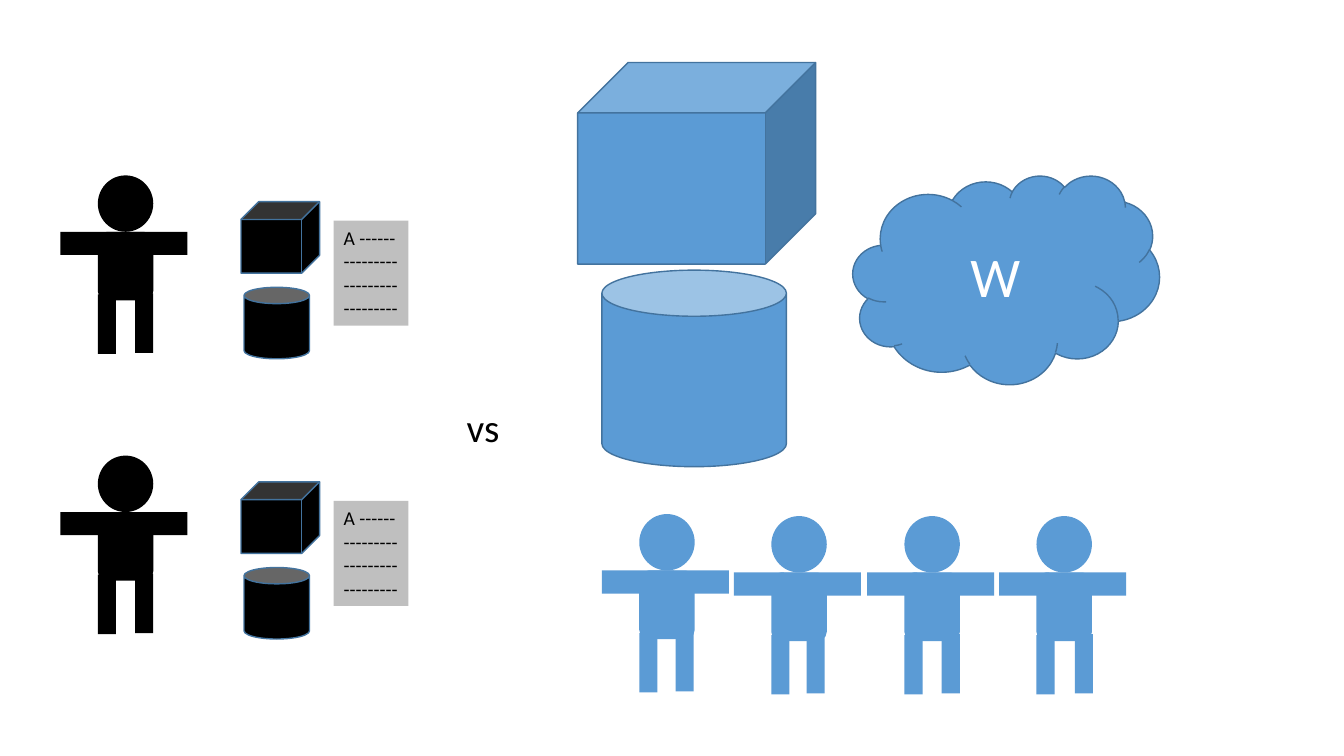
"""Build a slide that sets lone workers with small tools against a team with shared ones."""
from typing import Any, NamedTuple

from pptx import Presentation
from pptx.dml.color import RGBColor
from pptx.enum.shapes import MSO_SHAPE
from pptx.enum.text import MSO_ANCHOR, MSO_AUTO_SIZE, PP_ALIGN
from pptx.util import Inches, Pt

HUES = {"black": "000000", "blue": "5B9BD5", "edge": "43739E",
        "gray": "BFBFBF", "white": "FFFFFF"}


class Part(NamedTuple):
    kind: MSO_SHAPE
    left: float
    top: float
    width: float
    height: float


class Person(NamedTuple):
    left: float
    top: float
    hue: str
    stride: float = 0.37


BODY = [
    Part(MSO_SHAPE.OVAL, 0.37, 0, 0.55, 0.56),
    Part(MSO_SHAPE.ROUNDED_RECTANGLE, 0.37, 0.56, 0.55, 0.68),
    Part(MSO_SHAPE.RECTANGLE, 0, 0.56, 1.26, 0.23),
    Part(MSO_SHAPE.RECTANGLE, 0.37, 1.18, 0.18, 0.59),
]
LEG = BODY[-1]
TEAM = [Person(5.97, 5.1, "blue", 0.36), Person(7.28, 5.12, "blue", 0.35),
        Person(8.6, 5.12, "blue"), Person(9.91, 5.12, "blue", 0.38)]
ROWS = [1.74, 4.52]
TOOLS = [Part(MSO_SHAPE.CAN, 2.42, 1.11, 0.65, 0.71),
         Part(MSO_SHAPE.CUBE, 2.39, 0.26, 0.78, 0.71)]
NOTE = Part(MSO_SHAPE.RECTANGLE, 3.31, 0.45, 0.74, 1.04)
SHARED = [Part(MSO_SHAPE.CAN, 5.97, 2.68, 1.83, 1.95),
          Part(MSO_SHAPE.CUBE, 5.73, 0.62, 2.36, 2)]
CLOUD = Part(MSO_SHAPE.CLOUD, 8.46, 1.74, 3.04, 2.07)
DASHES = "-" * 9


def color(hue: str) -> RGBColor:
    return RGBColor.from_string(HUES[hue])


def draw(shapes: Any, part: Part, hue: str, left: float = 0, top: float = 0,
         edge: bool = False) -> Any:
    shape = shapes.add_shape(part.kind, Inches(left + part.left), Inches(top + part.top),
                             Inches(part.width), Inches(part.height))
    shape.shadow.inherit = False
    shape.fill.solid()
    shape.fill.fore_color.rgb = color(hue)
    if edge:
        shape.line.color.rgb = color("edge")
        shape.line.width = Pt(1)
    else:
        shape.line.fill.background()
    return shape


def write(shape: Any, text: str, *, size: float, hue: str = "black", wrap: bool = False,
          align: PP_ALIGN = PP_ALIGN.LEFT, anchor: MSO_ANCHOR = MSO_ANCHOR.TOP) -> None:
    frame = shape.text_frame
    frame.word_wrap = wrap
    frame.auto_size = MSO_AUTO_SIZE.NONE if wrap else MSO_AUTO_SIZE.SHAPE_TO_FIT_TEXT
    frame.vertical_anchor = anchor
    frame.text = text
    for line in frame.paragraphs:
        line.alignment = align
        for run in line.runs:
            run.font.name = "Calibri"
            run.font.size = Pt(size)
            run.font.color.rgb = color(hue)


def stand(shapes: Any, person: Person) -> None:
    group = shapes.add_group_shape()
    other = LEG._replace(left=LEG.left + person.stride, top=LEG.top - 0.01)
    for part in [*BODY, other]:
        draw(group.shapes, part, person.hue, person.left, person.top)


def main() -> None:
    deck = Presentation()
    deck.slide_width, deck.slide_height = Inches(13.33), Inches(7.5)
    shapes = deck.slides.add_slide(deck.slide_layouts[6]).shapes

    for person in TEAM:
        stand(shapes, person)
    for part in SHARED:
        draw(shapes, part, "blue", edge=True)
    cloud = draw(shapes, CLOUD, "blue", edge=True)
    write(cloud, "W", size=40, hue="white", wrap=True,
          align=PP_ALIGN.CENTER, anchor=MSO_ANCHOR.MIDDLE)

    for top in ROWS:
        stand(shapes, Person(0.6, top, "black"))
        for part in TOOLS:
            draw(shapes, part, "black", top=top, edge=True)
        note = draw(shapes, NOTE, "gray", top=top)
        write(note, "\n".join(["A ------"] + [DASHES] * 3), size=14)

    versus = shapes.add_textbox(Inches(4.53), Inches(3.95), Inches(0.53), Inches(0.57))
    write(versus, "vs", size=28)
    deck.save("out.pptx")


main()
